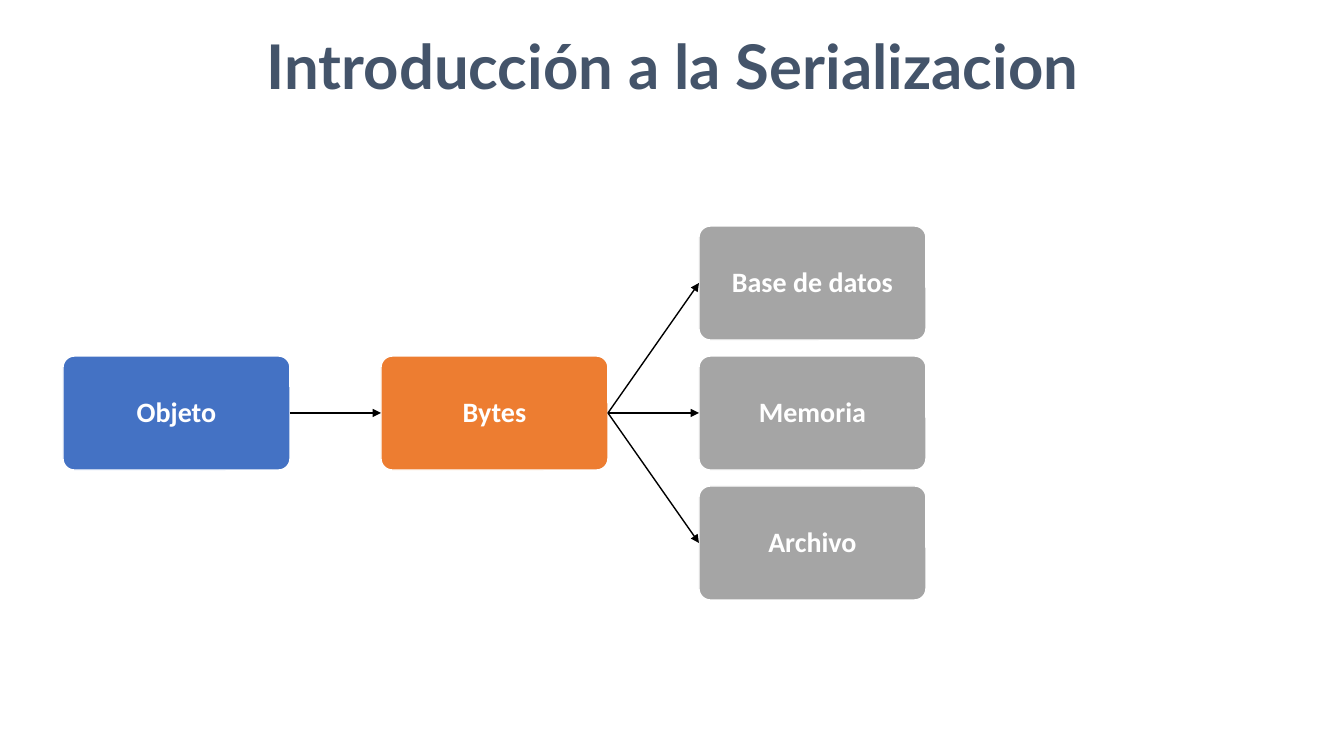
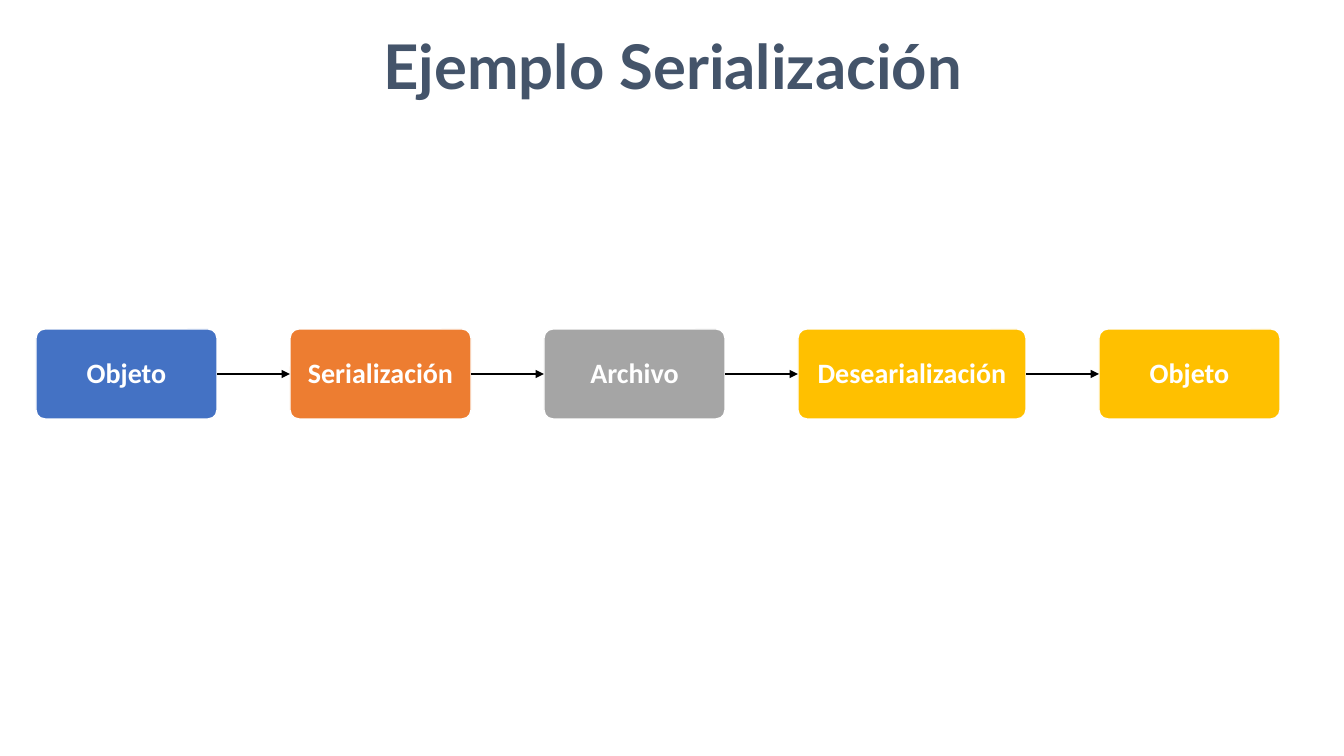
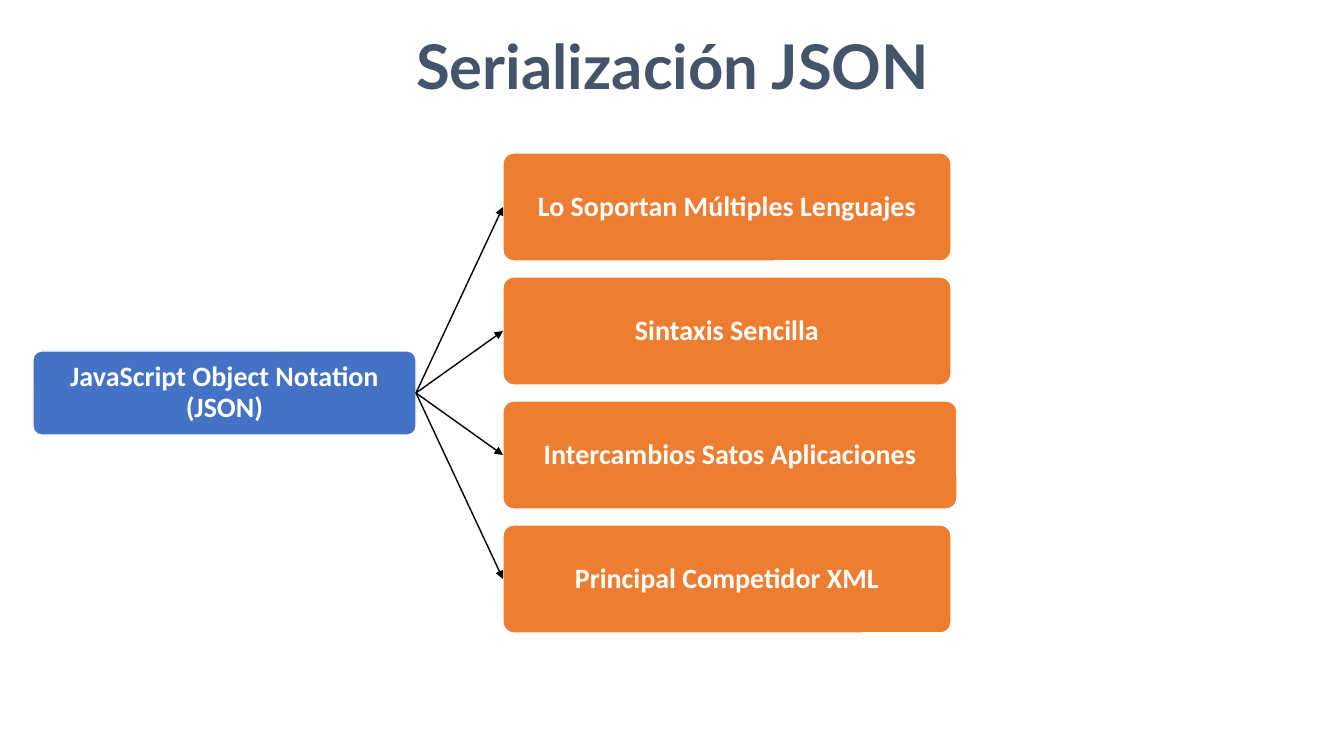
from lxml import etree
from pptx import Presentation
from pptx.dml.color import RGBColor
from pptx.enum import shapes, text
from pptx.oxml.ns import qn
from pptx.util import Pt

EMU_PER_PIXEL = 914400 / 100.8
SLIDE_SIZE = (1344, 756)
TITLE_BOX = (13, 26, 1320, 79)
COLORS = {
    "title": "44546A",
    "blue": "4472C4",
    "orange": "ED7D31",
    "gray": "A5A5A5",
    "gold": "FFC000",
    "white": "FFFFFF",
    "black": "000000",
}
LEFT_SITE, RIGHT_SITE = 1, 3


def px(pixels):
    return round(pixels * EMU_PER_PIXEL)


def rgb(name):
    return RGBColor.from_string(COLORS[name])


def write(shape, words, font_name, size, color, margins):
    """Put one bold, centred paragraph in a shape."""
    frame = shape.text_frame
    frame.word_wrap = True
    frame.margin_left = frame.margin_right = px(margins[0])
    frame.margin_top = frame.margin_bottom = px(margins[1])
    paragraph = frame.paragraphs[0]
    paragraph.text = words
    paragraph.alignment = text.PP_ALIGN.CENTER
    font = paragraph.font
    font.name, font.size, font.bold = font_name, Pt(size), True
    font.color.rgb = rgb(color)
    return frame, paragraph


def add_titled_slide(presentation, title):
    slide = presentation.slides.add_slide(presentation.slide_layouts[6])
    box = slide.shapes.add_textbox(*map(px, TITLE_BOX))
    write(box, title, "Lato", 44, "title", (5, 2))
    return slide


def add_node(slide, words, color, left, top, width, height):
    node = slide.shapes.add_shape(
        shapes.MSO_SHAPE.ROUNDED_RECTANGLE, *map(px, (left, top, width, height)))
    node.adjustments[0] = 0.1
    node.shadow.inherit = False
    node.fill.solid()
    node.fill.fore_color.rgb = rgb(color)
    node.line.color.rgb = rgb("white")
    node.line.width = Pt(1)
    frame, paragraph = write(node, words, "Calibri", 20, "white", (4, 4))
    frame.vertical_anchor = text.MSO_ANCHOR.MIDDLE
    paragraph.line_spacing = 0.9
    return node


def add_arrow(slide, source, target):
    arrow = slide.shapes.add_connector(shapes.MSO_CONNECTOR.STRAIGHT, 0, 0, 0, 0)
    arrow.begin_connect(source, RIGHT_SITE)
    arrow.end_connect(target, LEFT_SITE)
    arrow.line.color.rgb = rgb("black")
    arrow.line.width = Pt(1)
    etree.SubElement(arrow.line._get_or_add_ln(), qn("a:tailEnd"), type="triangle")
    etree.SubElement(arrow._element.spPr, qn("a:effectLst"))


def add_chain(slide, steps, left, top, height, gap):
    """Lay (words, color, width) steps in a row joined by arrows."""
    previous = None
    for words, color, width in steps:
        node = add_node(slide, words, color, left, top, width, height)
        if previous is not None:
            add_arrow(slide, previous, node)
        previous = node
        left += width + gap
    return previous


def add_branches(slide, root, branches, color, left, center, height, gap):
    """Stack (words, width) branches around a centre line, with arrows from root."""
    pitch = height + gap
    top = center - (len(branches) * pitch - gap) / 2
    for row, (words, width) in enumerate(branches):
        node = add_node(slide, words, color, left, top + row * pitch, width, height)
        add_arrow(slide, root, node)


def main():
    presentation = Presentation()
    presentation.slide_width, presentation.slide_height = map(px, SLIDE_SIZE)

    # Introduction: object to bytes to storage
    slide = add_titled_slide(presentation, "Introducción a la Serializacion")
    stored_bytes = add_chain(
        slide, [("Objeto", "blue", 227), ("Bytes", "orange", 227)],
        left=63, top=356, height=114, gap=91)
    storage = [(words, 227) for words in ("Base de datos", "Memoria", "Archivo")]
    add_branches(slide, stored_bytes, storage, "gray",
                 left=699, center=413, height=114, gap=16)

    # Example: round trip of an object
    slide = add_titled_slide(presentation, "Ejemplo Serialización")
    round_trip = [
        ("Objeto", "blue", 181),
        ("Serialización", "orange", 181),
        ("Archivo", "gray", 181),
        ("Desearialización", "gold", 228),
        ("Objeto", "gold", 181),
    ]
    add_chain(slide, round_trip, left=36, top=329, height=90, gap=73)

    # JSON and its features
    slide = add_titled_slide(presentation, "Serialización JSON")
    json_node = add_node(slide, "JavaScript Object Notation (JSON)", "blue",
                         33, 351, 383, 84)
    features = [
        ("Lo Soportan Múltiples Lenguajes", 448),
        ("Sintaxis Sencilla", 448),
        ("Intercambios Satos Aplicaciones", 454),
        ("Principal Competidor XML", 448),
    ]
    add_branches(slide, json_node, features, "orange",
                 left=503, center=393, height=108, gap=16)

    presentation.save("out.pptx")


main()
